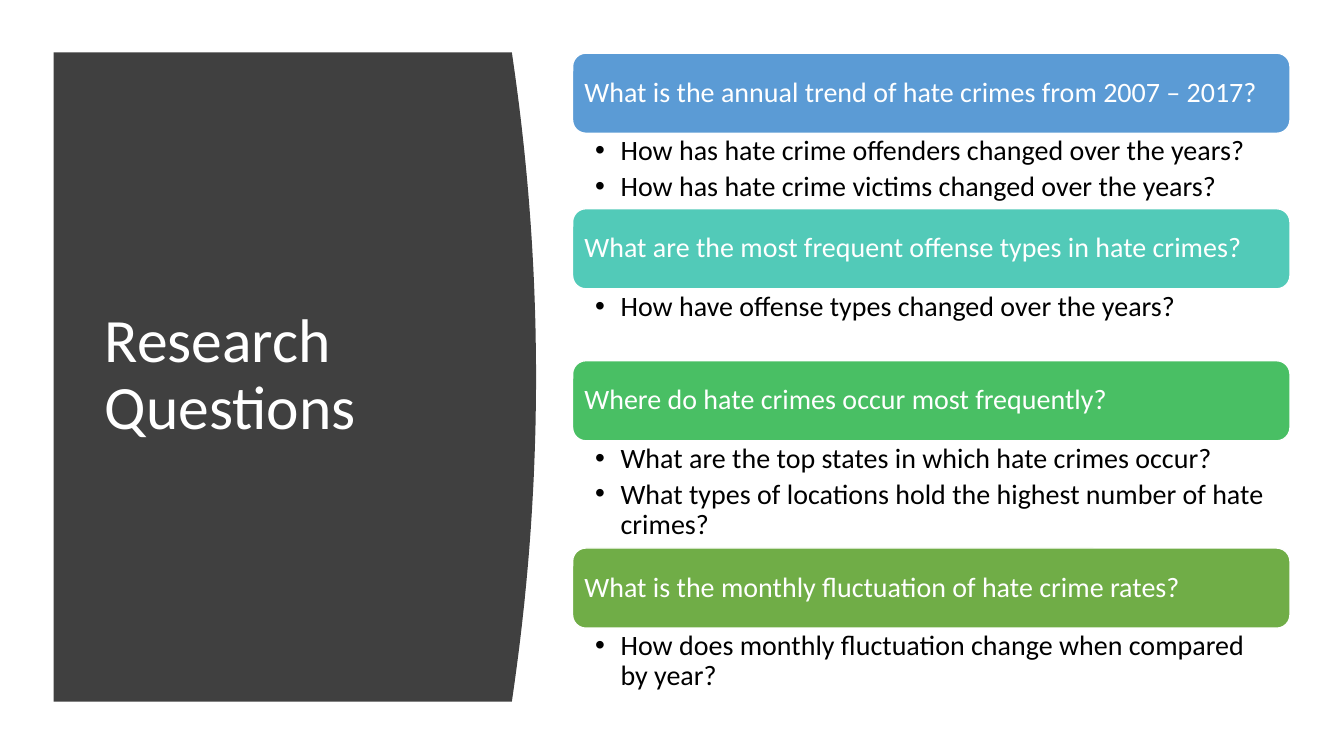
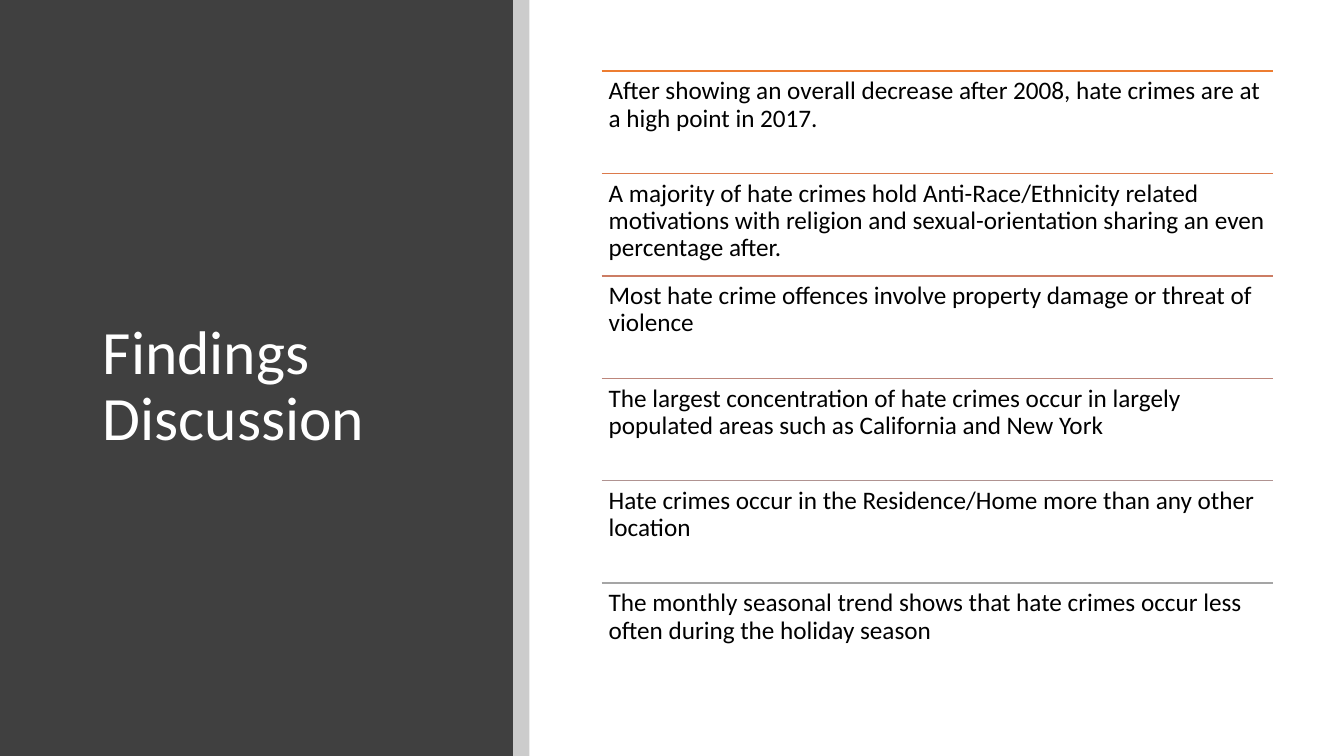
from lxml.etree import SubElement
from pptx import Presentation
from pptx.dml.color import RGBColor
from pptx.enum.shapes import MSO_CONNECTOR, MSO_SHAPE
from pptx.enum.text import MSO_ANCHOR, PP_ALIGN
from pptx.oxml.ns import qn
from pptx.util import Cm, Pt

WIDTH, HEIGHT = 33.87, 19.05
DARK, WHITE, BLACK = "404040", "FFFFFF", "000000"


def color(code):
    """Turn a hex string into a colour."""
    return RGBColor.from_string(code)


class Deck:
    """Hold the shared style and the current slide."""

    font = "Calibri"

    def __init__(self):
        """Open an empty deck."""
        self.file = Presentation()
        self.file.slide_width, self.file.slide_height = Cm(WIDTH), Cm(HEIGHT)
        self.slide = None

    def page(self):
        """Start a blank slide."""
        self.slide = self.file.slides.add_slide(self.file.slide_layouts[6])

    def paint(self, shape, fill, edge=None, alpha=None):
        """Give a shape its flat fill and outline."""
        shape.shadow.inherit = False
        shape.fill.solid()
        shape.fill.fore_color.rgb = color(fill)
        if alpha:
            tone = shape._element.spPr.find(".//" + qn("a:srgbClr"))
            SubElement(tone, qn("a:alpha"), val=str(alpha * 1000))
        if edge:
            shape.line.color.rgb = color(edge)
            shape.line.width = Pt(1)
        else:
            shape.line.fill.background()

    def label(self, shape, lines, size, ink, pads, middle=False, bullet=False):
        """Set the lines of text in a shape."""
        frame = shape.text_frame
        frame.word_wrap = True
        frame.vertical_anchor = MSO_ANCHOR.MIDDLE if middle else MSO_ANCHOR.TOP
        (frame.margin_left, frame.margin_top,
         frame.margin_right, frame.margin_bottom) = map(Cm, pads)
        frame.text = "\n".join(lines)
        for para in frame.paragraphs:
            para.alignment = PP_ALIGN.LEFT
            para.line_spacing = 0.9
            for run in para.runs:
                run.font.name, run.font.size = self.font, Pt(size)
                run.font.color.rgb = color(ink)
            if bullet:
                para.space_after = Pt(4)
                props = para._p.get_or_add_pPr()
                props.set("marL", str(Cm(0.64)))
                props.set("indent", str(-Cm(0.64)))
                SubElement(props, qn("a:buFont"), typeface="Arial")
                SubElement(props, qn("a:buChar"), char="•")

    def text(self, box, lines, size, ink, pads, **style):
        """Add a text box."""
        shape = self.slide.shapes.add_textbox(*map(Cm, box))
        self.label(shape, lines, size, ink, pads, **style)

    def title(self, box, words):
        """Add the white title on the dark panel."""
        self.text(box, [words], 44, WHITE, (0.25, 0.13, 0.25, 0.13), middle=True)

    def panel(self, box, fill, alpha=None):
        """Add a plain rectangle."""
        shape = self.slide.shapes.add_shape(MSO_SHAPE.RECTANGLE, *map(Cm, box))
        self.paint(shape, fill, alpha=alpha)

    def curve(self, left, top, side, high, bulge, steps=60):
        """Add a dark panel whose right side bows outwards."""
        points = []
        for step in range(steps + 1):
            part = step / steps
            bow = bulge * (1 - (2 * part - 1) ** 2)
            points.append((Cm(side + bow), Cm(top + high * part)))
        points.append((Cm(left), Cm(top + high)))
        form = self.slide.shapes.build_freeform(Cm(left), Cm(top))
        form.add_line_segments(points, close=True)
        self.paint(form.convert_to_shape(), DARK)

    def card(self, box, words, fill):
        """Add a rounded question card."""
        shape = self.slide.shapes.add_shape(MSO_SHAPE.ROUNDED_RECTANGLE, *map(Cm, box))
        self.paint(shape, fill, WHITE)
        self.label(shape, [words], 20, WHITE, (0.2,) * 4, middle=True)

    def rule(self, left, top, wide, ink):
        """Add a thin level line."""
        line = self.slide.shapes.add_connector(
            MSO_CONNECTOR.STRAIGHT, Cm(left), Cm(top), Cm(left + wide), Cm(top))
        line.line.color.rgb = color(ink)
        line.line.width = Pt(1)
        SubElement(line._element.spPr, qn("a:effectLst"))


TOPICS = [
    ("What is the annual trend of hate crimes from 2007 – 2017?", "5B9BD5", 1.9,
     ["How has hate crime offenders changed over the years?",
      "How has hate crime victims changed over the years?"]),
    ("What are the most frequent offense types in hate crimes?", "52CAB8", 1.81,
     ["How have offense types changed over the years?"]),
    ("Where do hate crimes occur most frequently?", "49BF64", 2.7,
     ["What are the top states in which hate crimes occur?",
      "What types of locations hold the highest number of hate crimes?"]),
    ("What is the monthly fluctuation of hate crime rates?", "70AD47", 1.81,
     ["How does monthly fluctuation change when compared by year?"]),
]

FINDINGS = [
    ("ED7D31", "After showing an overall decrease after 2008, hate crimes are at "
               "a high point in 2017."),
    ("DC7A4B", "A majority of hate crimes hold Anti-Race/Ethnicity related motivations "
               "with religion and sexual-orientation sharing an even percentage after."),
    ("CC7D64", "Most hate crime offences involve property damage or threat of violence"),
    ("BD867B", "The largest concentration of hate crimes occur in largely populated "
               "areas such as California and New York"),
    ("B09391", "Hate crimes occur in the Residence/Home more than any other location"),
    ("A5A5A5", "The monthly seasonal trend shows that hate crimes occur less often "
               "during the holiday season"),
]


def questions(deck):
    """Build the slide of research questions."""
    deck.page()
    deck.curve(1.35, 1.32, 12.9, 16.36, 0.61)
    deck.title((2.39, 2.82, 9.5, 13.31), "Research Questions")
    left, top, wide, high = 14.43, 1.34, 18.08, 2.02
    for topic, fill, room, points in TOPICS:
        deck.card((left, top, wide, high), topic, fill)
        top += high
        deck.text((left, top, wide, room), points, 20, BLACK,
                  (0.57, 0.08, 0.4, 0.08), bullet=True)
        top += room


def findings(deck):
    """Build the slide of findings."""
    deck.page()
    side = 12.93
    deck.panel((0, 0, side, HEIGHT), DARK)
    deck.title((2.34, 2.26, 9.27, 15.01), "Findings Discussion")
    deck.panel((side, 0, 0.41, HEIGHT), BLACK, alpha=20)
    left, wide, pitch = 15.16, 16.92, 2.58
    for row, (ink, words) in enumerate(FINDINGS):
        top = 1.79 + row * pitch
        deck.rule(left, top, wide, ink)
        deck.text((left, top, wide, pitch), [words], 18, BLACK, (0.18,) * 4)


def main():
    """Build and save the deck."""
    deck = Deck()
    questions(deck)
    findings(deck)
    deck.file.save("out.pptx")


if __name__ == "__main__":
    main()
